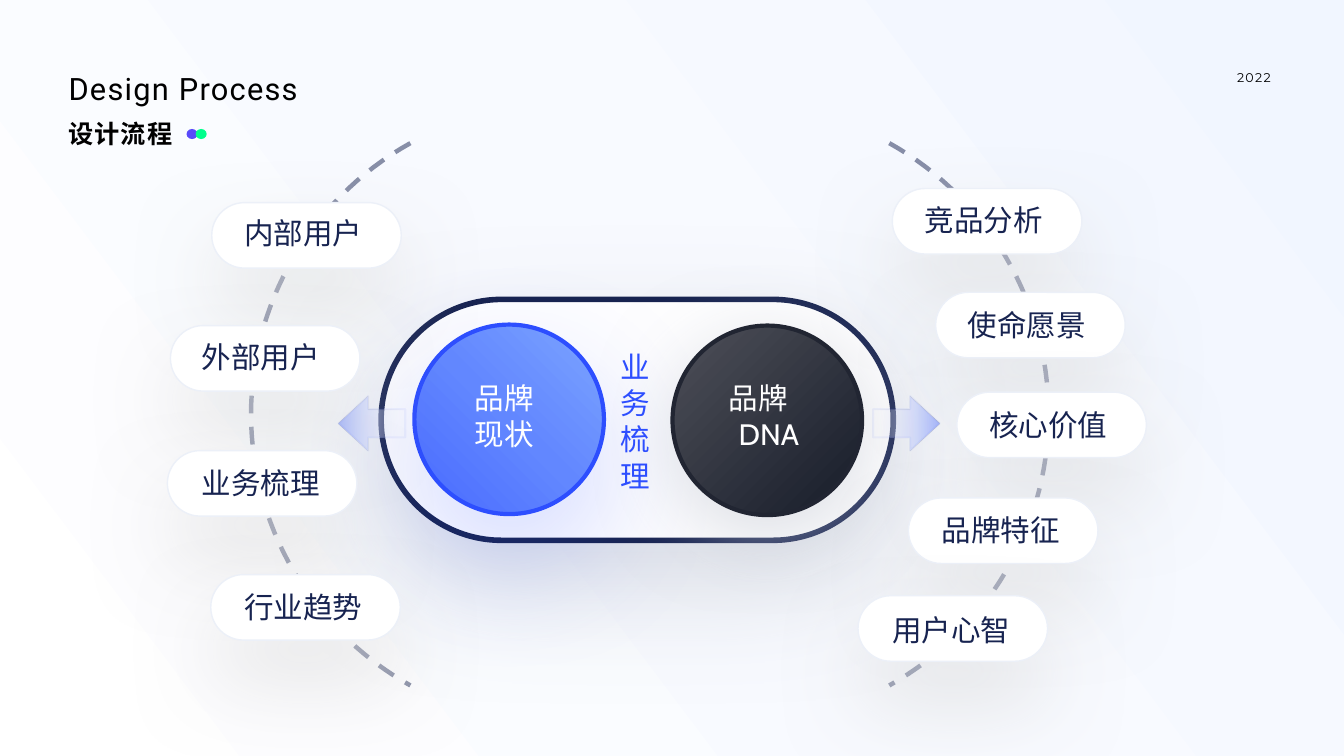
"""Build the Design Process slide: two brand circles linked to their research topics."""
from dataclasses import dataclass
from math import acos, cos, pi, sin

from lxml import etree
from pptx import Presentation
from pptx.dml.color import RGBColor
from pptx.enum.dml import MSO_LINE
from pptx.enum.shapes import MSO_SHAPE
from pptx.enum.text import MSO_ANCHOR, PP_ALIGN
from pptx.oxml.ns import qn
from pptx.util import Pt

PX = 9144
SLIDE_W, SLIDE_H = 1333, 750
RECT, OVAL, PILL = MSO_SHAPE.RECTANGLE, MSO_SHAPE.OVAL, MSO_SHAPE.ROUNDED_RECTANGLE
ARROW_LEFT, ARROW_RIGHT = MSO_SHAPE.LEFT_ARROW, MSO_SHAPE.RIGHT_ARROW
LEFT, CENTER = PP_ALIGN.LEFT, PP_ALIGN.CENTER
TOP, DASH = MSO_ANCHOR.TOP, MSO_LINE.DASH


@dataclass(frozen=True)
class Theme:
    """Colours, gradients, shadows and type styles of the slide."""
    navy: str = "172350"
    blue: str = "2D4EFF"
    charcoal: str = "212532"
    white: str = "FFFFFF"
    black: str = "000000"
    panel: str = "FEFEFF"
    pill_edge: str = "ECF0F8"
    dot_violet: str = "594AFA"
    dot_green: str = "01FF8C"
    backdrop: tuple = ((0, "F1F6FF", 100), (50, "F8FAFF", 100), (100, "FFFFFF", 100))
    blue_fade: tuple = ((0, "7CA4FF", 100), (50, "6287FF", 100), (100, "486AFF", 100))
    dark_fade: tuple = ((0, "4E5059", 100), (99, "171C29", 100))
    arrow_fade: tuple = ((0, "9EB0FF", 100), (50, "CED7FF", 50), (100, "FFFFFF", 0))
    panel_shadow: tuple = ("CBCFD8", 64, 87.1, 31.5)
    blue_shadow: tuple = ("2D4EFF", 20, 91, 33.9)
    dark_shadow: tuple = ("CBCFD8", 67, 59.1, 13.4)
    pill_shadow: tuple = ("D9D9D9", 64, 62.2, 29.4)

    def style(self, name):
        """Return font attributes, line spacing and letter spacing of a style."""
        font, size, bold, leading, tracking = {
            "year": ("Montserrat", 9, False, 11, 90),
            "title": ("Roboto", 22, False, 25.5, 90),
            "subtitle": ("Cabin", 18, True, 21, 70),
            "core": ("Cabin", 21.1, False, 26, 0),
            "label": ("Karla", 21.1, False, 24.5, 0),
        }[name]
        return {"name": font, "size": Pt(size), "bold": bold}, Pt(leading), tracking


THEME = Theme()
PILL_W, PILL_H = 188, 65
TOPICS = [
    ("内部用户", 210, 201, 32, 13),
    ("外部用户", 169, 323, 31, 14),
    ("业务梳理", 166, 447, 34, 15),
    ("行业趋势", 209, 570, 33, 15),
    ("竞品分析", 885, 187, 32, 15),
    ("使命愿景", 928, 290, 32, 16),
    ("核心价值", 949, 389, 32, 16),
    ("品牌特征", 901, 494, 33, 15),
    ("用户心智", 851, 591, 34, 17),
]


def add_color(parent, color, alpha):
    """Append a colour with an opacity in percent."""
    node = etree.SubElement(parent, qn("a:srgbClr"), val=color)
    if alpha < 100:
        etree.SubElement(node, qn("a:alpha"), val=str(alpha * 1000))


def set_gradient(shape, stops, angle):
    """Fill a shape with a linear gradient, its angle measured clockwise."""
    shape.fill.gradient()
    gradient = shape._element.spPr.find(qn("a:gradFill"))
    for child in list(gradient):
        gradient.remove(child)
    stop_list = etree.SubElement(gradient, qn("a:gsLst"))
    for position, color, alpha in stops:
        stop = etree.SubElement(stop_list, qn("a:gs"), pos=str(position * 1000))
        add_color(stop, color, alpha)
    etree.SubElement(gradient, qn("a:lin"), ang=str(angle * 60000), scaled="0")


def set_line(shape, color, width, alpha=100):
    """Outline a shape, with an opacity in percent."""
    shape.line.color.rgb = RGBColor.from_string(color)
    shape.line.width = Pt(width)
    if alpha < 100:
        solid = shape._element.spPr.find(qn("a:ln")).find(qn("a:solidFill"))
        etree.SubElement(solid[0], qn("a:alpha"), val=str(alpha * 1000))


def set_shadow(shape, color, alpha, blur, distance):
    """Cast a soft shadow straight down."""
    effects = shape._element.spPr.find(qn("a:effectLst"))
    shadow = etree.SubElement(effects, qn("a:outerShdw"), blurRad=str(int(Pt(blur))),
                              dist=str(int(Pt(distance))), dir="5400000",
                              algn="t", rotWithShape="0")
    add_color(shadow, color, alpha)


def add_figure(slide, kind, box, fill, angle=0, line=None, shadow=None, adjust=()):
    """Add a preset shape with a solid or gradient fill."""
    figure = slide.shapes.add_shape(kind, *(value * PX for value in box))
    figure.shadow.inherit = False
    for index, value in enumerate(adjust):
        figure.adjustments[index] = value
    if isinstance(fill, str):
        figure.fill.solid()
        figure.fill.fore_color.rgb = RGBColor.from_string(fill)
    else:
        set_gradient(figure, fill, angle)
    if line:
        set_line(figure, *line)
    else:
        figure.line.fill.background()
    if shadow:
        set_shadow(figure, *shadow)


def add_orbit(slide, tip_x, bulge, side, top=142, bottom=680, steps=60):
    """Add a dashed circular arc that bulges to one side (-1 left, 1 right)."""
    half = (bottom - top) / 2
    radius = (bulge ** 2 + half ** 2) / (2 * bulge)
    reach = acos((radius - bulge) / radius)
    center_x = tip_x - side * (radius - bulge)
    angles = [reach * (2 * step / steps - 1) for step in range(steps + 1)]
    points = [(round((center_x + side * radius * cos(angle)) * PX),
               round((top + half + radius * sin(angle)) * PX)) for angle in angles]
    builder = slide.shapes.build_freeform(*points[0])
    builder.add_line_segments(points[1:], close=False)
    orbit = builder.convert_to_shape()
    orbit.shadow.inherit = False
    orbit.fill.background()
    set_line(orbit, THEME.navy, 3.17, 50)
    orbit.line.dash_style = DASH


def add_text(slide, box, lines, style, color, aligns=(LEFT,), wrap=False):
    """Add a text box without margins, one paragraph for each line."""
    font_format, leading, tracking = THEME.style(style)
    frame = slide.shapes.add_textbox(*(value * PX for value in box)).text_frame
    frame_format = {"word_wrap": wrap, "vertical_anchor": TOP, "margin_left": 0,
                    "margin_top": 0, "margin_right": 0, "margin_bottom": 0}
    for key, value in frame_format.items():
        setattr(frame, key, value)
    for index, (line, align) in enumerate(zip(lines, aligns)):
        paragraph = frame.add_paragraph() if index else frame.paragraphs[0]
        paragraph.alignment = align
        paragraph.line_spacing = leading
        run = paragraph.add_run()
        run.text = line
        for key, value in font_format.items():
            setattr(run.font, key, value)
        run.font.color.rgb = RGBColor.from_string(color)
        if tracking:
            run._r.get_or_add_rPr().set("spc", str(tracking))


def add_core(slide):
    """Add the central panel with its two circles, arcs and arrows."""
    add_figure(slide, PILL, (378, 297, 508, 239), THEME.panel,
               line=(THEME.navy, 4), shadow=THEME.panel_shadow, adjust=(0.5,))
    add_figure(slide, OVAL, (411, 322, 188, 188), THEME.blue_fade, 135,
               (THEME.blue, 3), THEME.blue_shadow)
    add_figure(slide, OVAL, (667, 323, 188, 188), THEME.dark_fade, 45,
               (THEME.charcoal, 3), THEME.dark_shadow)
    for x, color in ((185, THEME.dot_violet), (194, THEME.dot_green)):
        add_figure(slide, OVAL, (x, 128, 11, 10), color)
    add_orbit(slide, 407, 158, -1)
    add_orbit(slide, 882, 158, 1)
    for kind, x, angle in ((ARROW_RIGHT, 866, 180), (ARROW_LEFT, 336, 0)):
        add_figure(slide, kind, (x, 393, 66, 54), THEME.arrow_fade, angle,
                   (THEME.blue, 1.5, 5), adjust=(0.52, 0.54))


def main():
    """Build and save the slide."""
    deck = Presentation()
    deck.slide_width, deck.slide_height = SLIDE_W * PX, SLIDE_H * PX
    slide = deck.slides.add_slide(deck.slide_layouts[6])
    add_figure(slide, RECT, (0, 0, SLIDE_W, SLIDE_H), THEME.backdrop, 143)
    add_core(slide)
    for _, x, y, _, _ in TOPICS:
        add_figure(slide, PILL, (x, y, PILL_W, PILL_H), THEME.white,
                   line=(THEME.pill_edge, 1), shadow=THEME.pill_shadow, adjust=(0.5,))
    add_text(slide, (1227, 69, 37, 15), ["2022"], "year", THEME.black)
    add_text(slide, (68, 70, 272, 40), ["Design Process"], "title", THEME.black)
    add_text(slide, (68, 118, 105, 33), ["设计流程"], "subtitle", THEME.black)
    add_text(slide, (471, 376, 79, 72), ["品牌现状"], "core", THEME.white, wrap=True)
    add_text(slide, (723, 376, 79, 72), ["品牌", "DNA"], "core", THEME.white,
             (LEFT, CENTER), True)
    add_text(slide, (615, 345, 31, 144), ["业务梳理"], "core", THEME.blue, wrap=True)
    for topic, x, y, dx, dy in TOPICS:
        add_text(slide, (x + dx, y + dy, 119, 39), [topic], "label", THEME.navy)
    deck.save("out.pptx")


if __name__ == "__main__":
    main()
